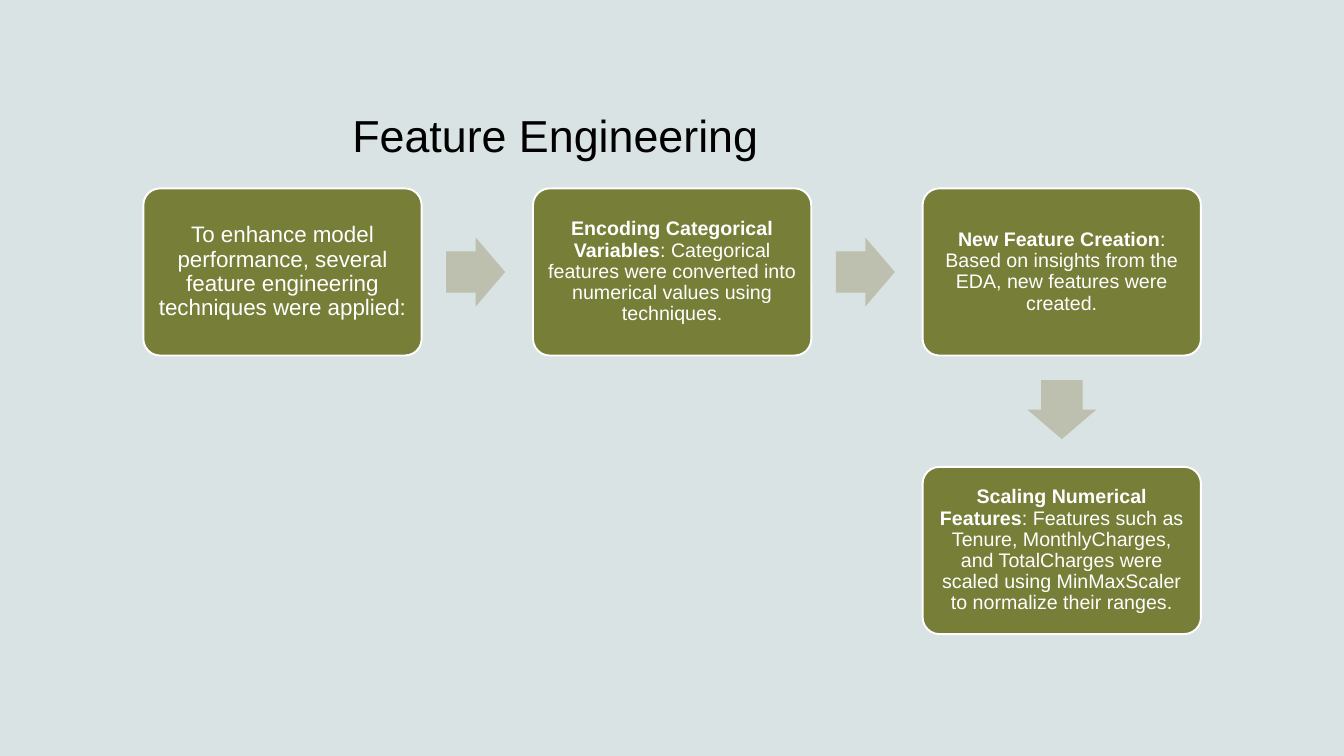
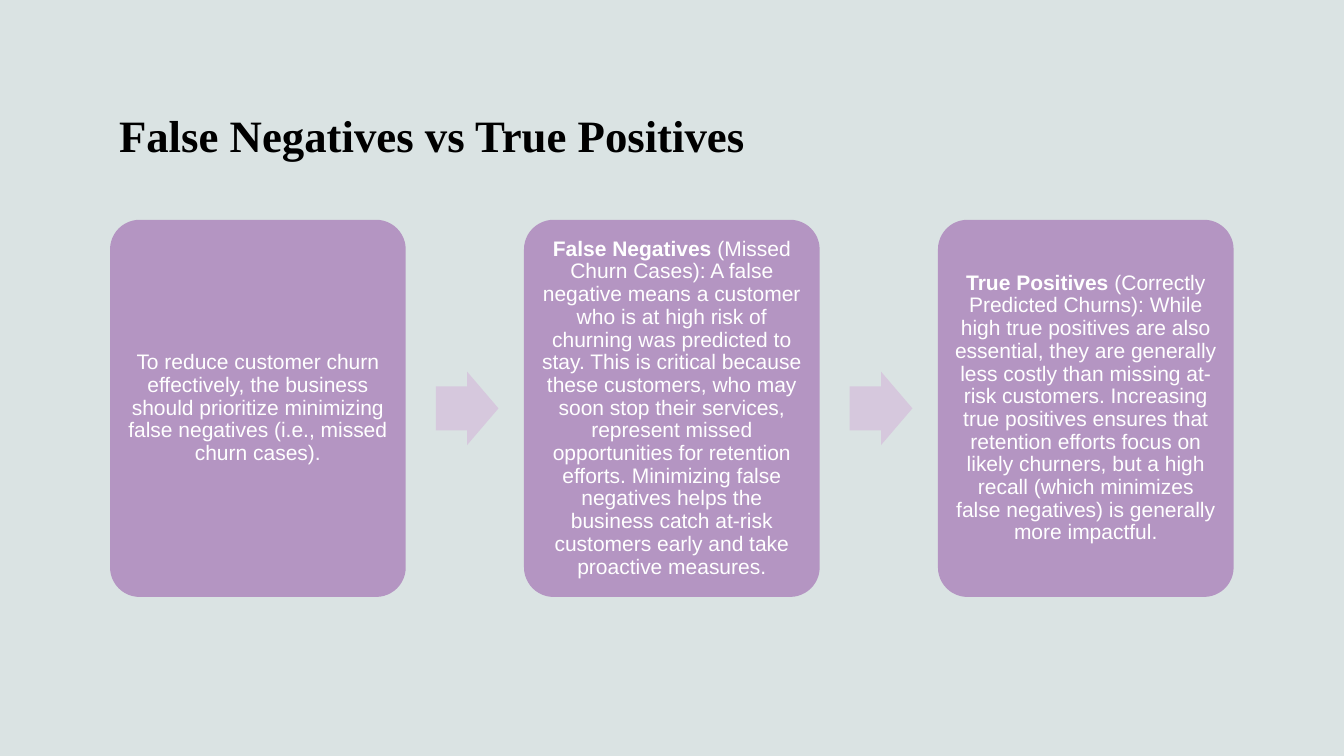
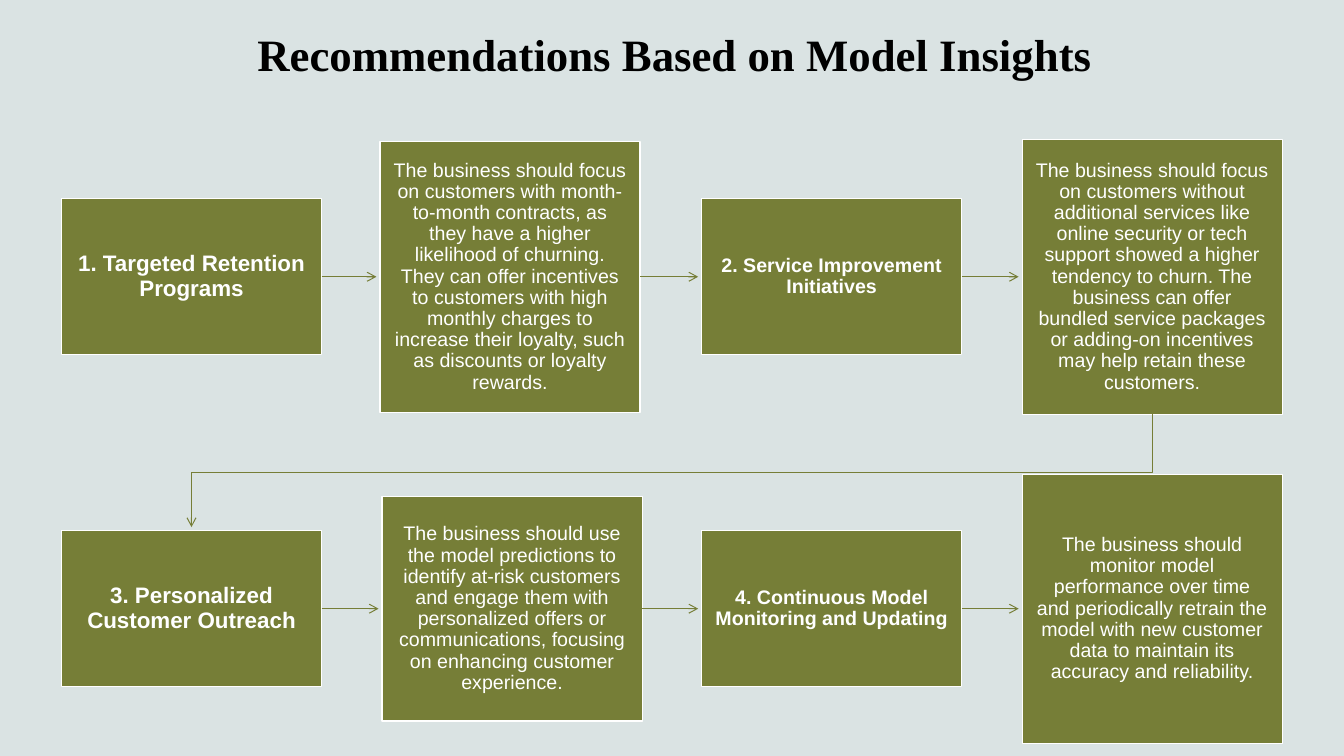
from itertools import pairwise

from lxml.etree import SubElement
from pptx import Presentation
from pptx.dml.color import RGBColor
from pptx.enum.shapes import MSO_CONNECTOR as Connector
from pptx.enum.shapes import MSO_SHAPE as Shape
from pptx.enum.text import MSO_ANCHOR as Anchor
from pptx.enum.text import MSO_AUTO_SIZE as AutoSize
from pptx.enum.text import PP_ALIGN as Align
from pptx.oxml.ns import qn
from pptx.util import Pt

COLORS = {
    "background": "DAE3E3",
    "title": "000000",
    "white": "FFFFFF",
    "olive": "767E37",
    "pale_olive": "BDC0AE",
    "purple": "B495C2",
    "pale_purple": "D6C8DD",
}
BODY_FONT = "Arial"
TITLE_FONT = "Times New Roman"
FRAME_FORMAT = {"word_wrap": True, "auto_size": AutoSize.NONE}
SIDES = ("left", "top", "right", "bottom")

OLIVE_FLOW = {"fill": "olive", "outline": "white", "arrow": "pale_olive", "arrow_gap": 17.5}
PURPLE_FLOW = {"fill": "purple", "outline": None, "arrow": "pale_purple", "arrow_gap": 21.5}

FEATURE_CARDS = [
    (0, 0, 16, "", "To enhance model performance, several feature engineering techniques were applied:"),
    (1, 0, 14, "Encoding Categorical Variables",
     ": Categorical features were converted into numerical values using techniques."),
    (2, 0, 14, "New Feature Creation", ": Based on insights from the EDA, new features were created."),
    (2, 1, 14, "Scaling Numerical Features",
     ": Features such as Tenure, MonthlyCharges, and TotalCharges were scaled using "
     "MinMaxScaler to normalize their ranges."),
]
CHURN_CARDS = [
    (0, 0, 15, "",
     "To reduce customer churn effectively, the business should prioritize minimizing "
     "false negatives (i.e., missed churn cases)."),
    (1, 0, 15, "False Negatives",
     " (Missed Churn Cases): A false negative means a customer who is at high risk of churning "
     "was predicted to stay. This is critical because these customers, who may soon stop their "
     "services, represent missed opportunities for retention efforts. Minimizing false negatives "
     "helps the business catch at-risk customers early and take proactive measures."),
    (2, 0, 15, "True Positives",
     " (Correctly Predicted Churns): While high true positives are also essential, they are "
     "generally less costly than missing at-risk customers. Increasing true positives ensures "
     "that retention efforts focus on likely churners, but a high recall (which minimizes false "
     "negatives) is generally more impactful."),
]
RETENTION_ROW = [
    (0, 111.6, 16, "1. Targeted Retention Programs", ""),
    (227.5, 193.7, 14, "",
     "The business should focus on customers with month-to-month contracts, as they have a higher "
     "likelihood of churning. They can offer incentives to customers with high monthly charges to "
     "increase their loyalty, such as discounts or loyalty rewards."),
    (457.3, 111.6, 14, "2. Service Improvement Initiatives", ""),
    (686.2, 196.6, 14, "",
     "The business should focus on customers without additional services like online security or "
     "tech support showed a higher tendency to churn. The business can offer bundled service "
     "packages or adding-on incentives may help retain these customers."),
]
OUTREACH_ROW = [
    (0, 111.6, 16, "3. Personalized Customer Outreach", ""),
    (229, 160.6, 14, "",
     "The business should use the model predictions to identify at-risk customers and engage them "
     "with personalized offers or communications, focusing on enhancing customer experience."),
    (457.3, 111.6, 14, "4. Continuous Model Monitoring and Updating", ""),
    (686.2, 192.2, 14, "",
     "The business should monitor model performance over time and periodically retrain the model "
     "with new customer data to maintain its accuracy and reliability."),
]


def rgb(name):
    return RGBColor.from_string(COLORS[name])


def apply_format(target, values):
    for name, value in values.items():
        setattr(target, name, value)


def add_run(paragraph, text, color, **font_format):
    run = paragraph.add_run()
    run.text = text
    apply_format(run.font, font_format)
    run.font.color.rgb = rgb(color)


def add_slide(presentation, title, box, font, bold, align, bottom_inset=3.6):
    slide = presentation.slides.add_slide(presentation.slide_layouts[5])
    placeholder = slide.shapes.title
    apply_format(placeholder, dict(zip(("left", "top", "width", "height"), map(Pt, box))))
    frame = placeholder.text_frame
    apply_format(frame, FRAME_FORMAT | {"vertical_anchor": Anchor.BOTTOM, "margin_bottom": Pt(bottom_inset)})
    paragraph = frame.paragraphs[0]
    paragraph.alignment = align
    add_run(paragraph, title, "title", name=font, size=Pt(32), bold=bold)
    return slide


def add_block(slide, kind, box, fill, outline=None, outline_width=0.85):
    shape = slide.shapes.add_shape(kind, *map(Pt, box))
    shape.shadow.inherit = False
    shape.fill.solid()
    shape.fill.fore_color.rgb = rgb(fill)
    if outline:
        shape.line.color.rgb = rgb(outline)
        shape.line.width = Pt(outline_width)
    else:
        shape.line.fill.background()
    return shape


def write_text(shape, size, lead, rest, inset):
    frame = shape.text_frame
    margins = {f"margin_{side}": Pt(inset) for side in SIDES}
    apply_format(frame, FRAME_FORMAT | margins | {"vertical_anchor": Anchor.MIDDLE})
    paragraph = frame.paragraphs[0]
    apply_format(paragraph, {"alignment": Align.CENTER, "line_spacing": 0.9})
    for text, bold in ((lead, True), (rest, False)):
        if text:
            add_run(paragraph, text, "white", name=BODY_FONT, size=Pt(size), bold=bold)


def add_card_flow(slide, box, cards, style):
    left, top, width, height = box
    gap = 0.4 * width
    arrow_width, arrow_height = 0.212 * width, 0.248 * width
    reach = style["arrow_gap"] + arrow_width / 2

    def center(column, row):
        return left + width / 2 + column * (width + gap), top + height / 2 + row * (height + gap)

    for column, row, size, lead, rest in cards:
        x, y = center(column, row)
        card = add_block(slide, Shape.ROUNDED_RECTANGLE, (x - width / 2, y - height / 2, width, height),
                         style["fill"], style["outline"], 1.35)
        card.adjustments[0] = 0.1
        write_text(card, size, lead, rest, 0.3 * size)

    for current, following in pairwise(cards):
        x, y = center(*current[:2])
        down = following[1] > current[1]
        if down:
            y += height / 2 + reach
        else:
            x += width / 2 + reach
        arrow = add_block(slide, Shape.RIGHT_ARROW,
                          (x - arrow_width / 2, y - arrow_height / 2, arrow_width, arrow_height),
                          style["arrow"])
        arrow.adjustments[0], arrow.adjustments[1] = 0.6, 0.5
        arrow.rotation = 90 if down else 0


def style_arrow(shape):
    shape.line.color.rgb = rgb("olive")
    shape.line.width = Pt(0.75)
    SubElement(shape.line._get_or_add_ln(), qn("a:tailEnd"), type="arrow")


def add_step_row(slide, left, middle, steps, width=185.8):
    for offset, height, size, lead, rest in steps:
        box = add_block(slide, Shape.RECTANGLE, (left + offset, middle - height / 2, width, height),
                        "olive", "white")
        write_text(box, size, lead, rest, 9.2)
    for current, following in pairwise(steps):
        ends = (left + current[0] + width, middle, left + following[0] - 2.5, middle)
        arrow = slide.shapes.add_connector(Connector.STRAIGHT, *map(Pt, ends))
        style_arrow(arrow)
        SubElement(arrow._element.spPr, qn("a:effectLst"))


def add_return_arrow(slide, start, bend, end):
    builder = slide.shapes.build_freeform(Pt(start[0]), Pt(start[1]))
    corners = [(start[0], bend), (end[0], bend), end]
    builder.add_line_segments([(Pt(x), Pt(y)) for x, y in corners], close=False)
    route = builder.convert_to_shape()
    route.shadow.inherit = False
    route.fill.background()
    style_arrow(route)


def build_features(presentation):
    slide = add_slide(presentation, "Feature Engineering", (77.8, 31, 638, 87.8),
                      BODY_FONT, False, Align.CENTER)
    add_card_flow(slide, (102.4, 134.6, 198.8, 119.4), FEATURE_CARDS, OLIVE_FLOW)


def build_churn(presentation):
    slide = add_slide(presentation, "False Negatives vs True Positives", (77.8, 31, 804.2, 87.8),
                      TITLE_FONT, True, Align.LEFT)
    add_card_flow(slide, (78.6, 157, 211.2, 269.4), CHURN_CARDS, PURPLE_FLOW)


def build_recommendations(presentation):
    slide = add_slide(presentation, "Recommendations Based on Model Insights", (136, 11.5, 692, 87.8),
                      TITLE_FONT, True, Align.CENTER, bottom_inset=41.5)
    add_step_row(slide, 43.9, 197.7, RETENTION_ROW)
    add_return_arrow(slide, (823, 296), 337.5, (136.8, 376.5))
    add_step_row(slide, 43.9, 434.8, OUTREACH_ROW)


def main():
    presentation = Presentation()
    apply_format(presentation, {"slide_width": Pt(960), "slide_height": Pt(540)})
    background = presentation.slide_master.background.fill
    background.solid()
    background.fore_color.rgb = rgb("background")
    for build in (build_features, build_churn, build_recommendations):
        build(presentation)
    presentation.save("out.pptx")


if __name__ == "__main__":
    main()
